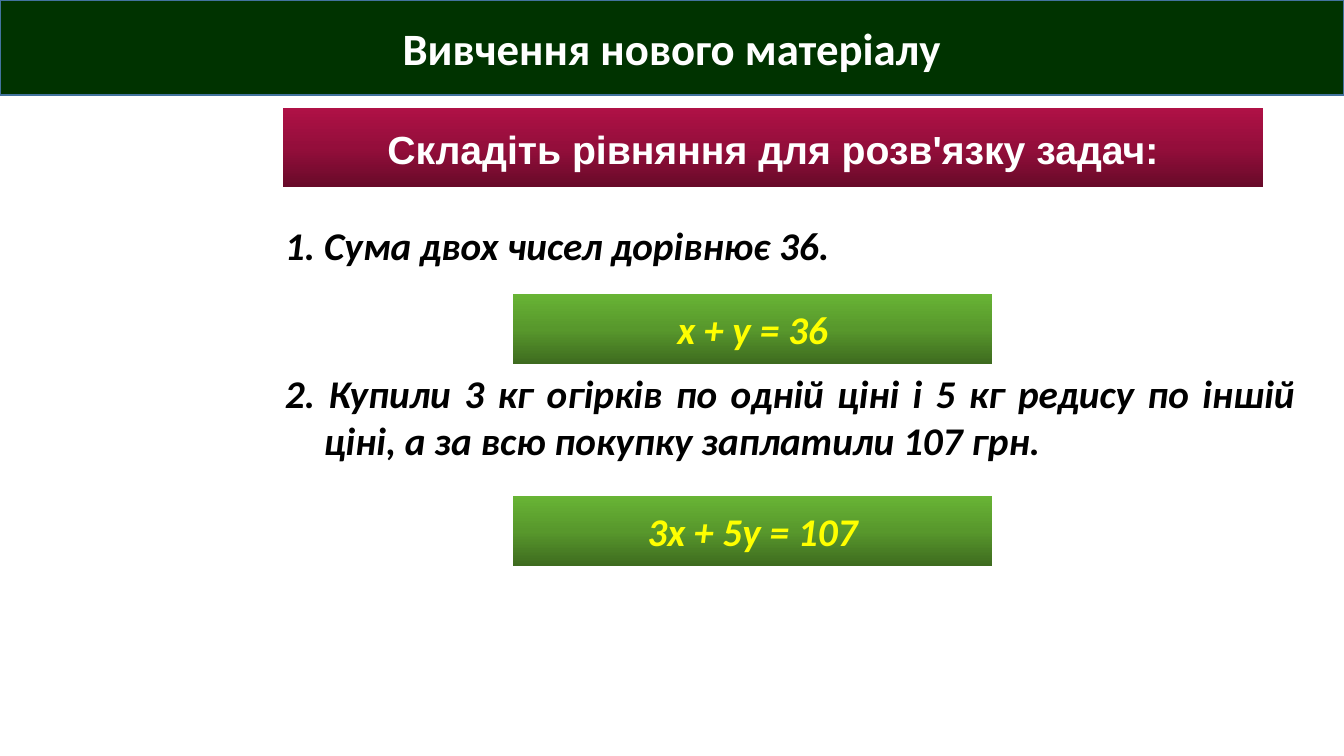
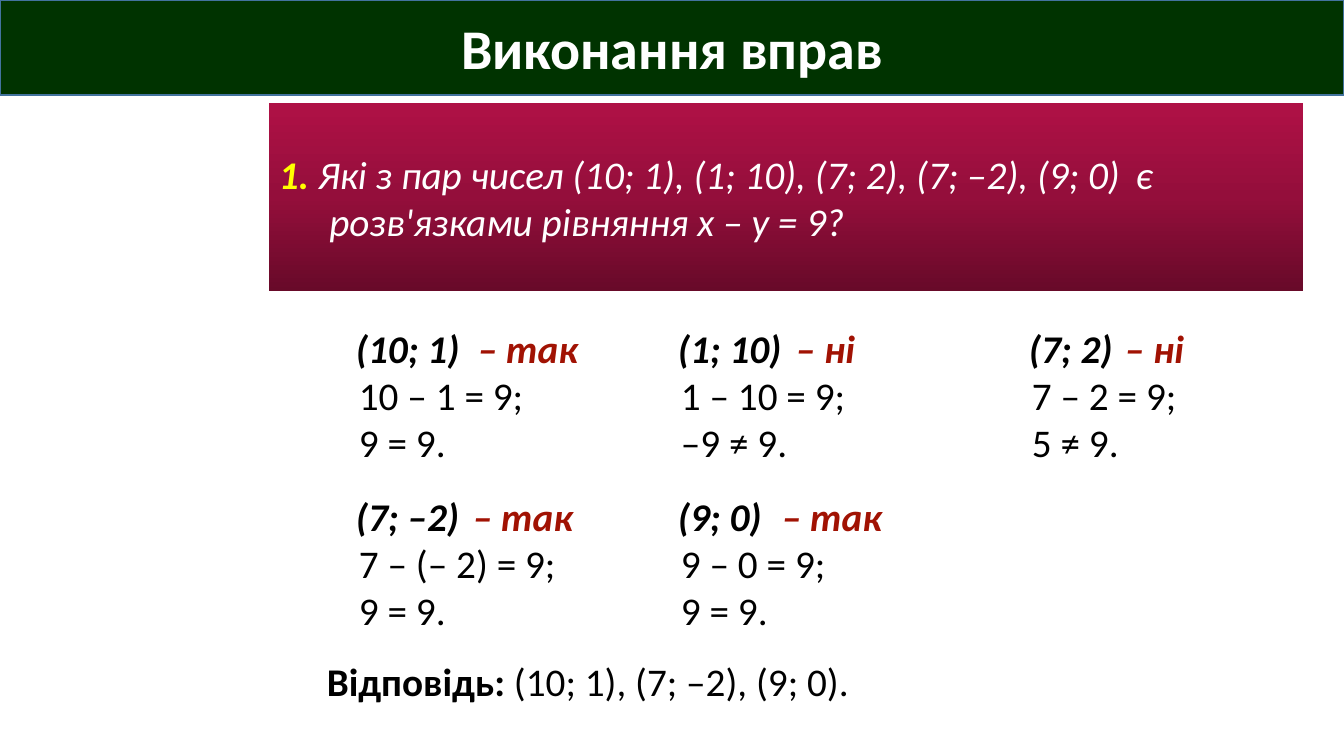
from lxml import etree
from pptx import Presentation
from pptx.dml.color import RGBColor
from pptx.enum.shapes import MSO_SHAPE
from pptx.enum.text import MSO_ANCHOR, MSO_AUTO_SIZE, PP_ALIGN
from pptx.oxml.ns import qn
from pptx.util import Pt

LEFT, CENTER, JUSTIFY = PP_ALIGN.LEFT, PP_ALIGN.CENTER, PP_ALIGN.JUSTIFY
MIDDLE, TOP = MSO_ANCHOR.MIDDLE, MSO_ANCHOR.TOP
RECTANGLE, NO_FIT = MSO_SHAPE.RECTANGLE, MSO_AUTO_SIZE.NONE

# Shared look
PX = 914400 / 100.8
SLIDE_W, SLIDE_H = 1344, 756
TITLE_H = 95
TITLE_ONLY = 5
TITLE_FILL, TITLE_LINE = "003300", "43739E"
WHITE, BLACK, YELLOW, RED = "FFFFFF", "000000", "FFFF00", "A11203"
CRIMSON = ("680A29", "940E3B", "AF1146")
GREEN = ("3E6B1F", "58982C", "68B435")
BODY_SIZE = 28

# Content of slide 1
TASK_TITLE = "Вивчення нового матеріалу"
TASK_BANNER = "Складіть рівняння для розв'язку задач:"
TASKS = [  # text, its box, alignment, hanging indent
    ("1. Сума двох чисел дорівнює 36.", (275, 216, 572, 57), LEFT, 0),
    ("2. Купили 3 кг огірків по одній ціні і 5 кг редису по іншій ціні, "
     "а за всю покупку заплатили 107 грн.", (275, 364, 1030, 105), JUSTIFY, 39),
]
EQUATIONS = [("x + y = 36", 294), ("3x + 5y = 107", 496)]  # text, top

# Content of slide 2
EXERCISE_TITLE = "Виконання вправ"
QUESTION_NUMBER = "1. "
QUESTION_LINES = ("Які з пар чисел (10; 1), (1; 10), (7; 2), (7; –2), (9; 0)\tє",
                  "\tрозв'язками рівняння х – у = 9?")
QUESTION_TABS = (90, 994)
PAIR_LEFTS = (310, 632, 983)
PAIR_TOPS = (319, 487)
PAIRS = [  # pair, working, verdict, verdict offset
    ("(10; 1)", ("10 – 1 = 9;", "9 = 9."), "– так", 158),
    ("(1; 10)", ("1 – 10 = 9;", "–9 ≠ 9."), "– ні", 154),
    ("(7; 2)", ("7 – 2 = 9;", "5 ≠ 9."), "– ні", 132),
    ("(7; –2)", ("7 – (– 2) = 9;", "9 = 9."), "– так", 153),
    ("(9; 0)", ("9 – 0 = 9;", "9 = 9."), "– так", 140),
]
ANSWER = ("Відповідь: ", "(10; 1), (7; –2), (9; 0).")


def px(length):
    return round(length * PX)


def color(value):
    return RGBColor.from_string(value)


def place(shape, area):
    shape.left, shape.top, shape.width, shape.height = map(px, area)


def add_span(para, text, ink=BLACK, bold=False, italic=False,
             size=BODY_SIZE, font="Calibri"):
    span = para.add_run()
    span.text = text
    span.font.name, span.font.size = font, Pt(size)
    span.font.bold, span.font.italic = bold, italic
    span.font.color.rgb = color(ink)


def set_paragraph(para, align=LEFT, margin=0, first=0):
    para.alignment = align
    properties = para._p.get_or_add_pPr()
    properties.set("marL", str(px(margin)))
    properties.set("indent", str(px(first)))


def set_tabs(para, stops):
    tab_list = etree.SubElement(para._p.get_or_add_pPr(), qn("a:tabLst"))
    for stop in stops:
        etree.SubElement(tab_list, qn("a:tab"), pos=str(px(stop)), algn="l")


def prepare_text(shape, anchor):
    frame = shape.text_frame
    frame.word_wrap = True
    frame.auto_size = NO_FIT
    frame.vertical_anchor = anchor
    return frame


def add_text(page, area):
    box = page.shapes.add_textbox(*map(px, area))
    return prepare_text(box, TOP)


def add_panel(page, area, shades):
    """Rectangle shaded from the first colour at the bottom to the last on top."""
    panel = page.shapes.add_shape(RECTANGLE, *map(px, area))
    panel.shadow.inherit = False
    panel.line.fill.background()
    panel.fill.gradient()
    panel.fill.gradient_angle = 90
    stops = panel._element.spPr.find(".//" + qn("a:gsLst"))
    for stop in list(stops):
        stops.remove(stop)
    for index, shade in enumerate(shades):
        position = index * 100000 // (len(shades) - 1)
        stop = etree.SubElement(stops, qn("a:gs"), pos=str(position))
        etree.SubElement(stop, qn("a:srgbClr"), val=shade)
    return prepare_text(panel, MIDDLE)


def add_page(deck, heading, size):
    page = deck.slides.add_slide(deck.slide_layouts[TITLE_ONLY])
    title = page.shapes.title
    place(title, (0, 0, SLIDE_W, TITLE_H))
    title.fill.solid()
    title.fill.fore_color.rgb = color(TITLE_FILL)
    title.line.color.rgb = color(TITLE_LINE)
    title.line.width = Pt(1)
    para = prepare_text(title, MIDDLE).paragraphs[0]
    set_paragraph(para, CENTER)
    add_span(para, heading, WHITE, bold=True, size=size)
    return page


def build_tasks(deck):
    page = add_page(deck, TASK_TITLE, 32)
    banner = add_panel(page, (283, 108, 980, 79), CRIMSON).paragraphs[0]
    set_paragraph(banner, CENTER)
    banner.line_spacing = 1.07
    add_span(banner, TASK_BANNER, WHITE, bold=True, font="Arial")

    for text, area, align, hang in TASKS:
        para = add_text(page, area).paragraphs[0]
        set_paragraph(para, align, hang, -hang)
        add_span(para, text, bold=True, italic=True)

    for text, top in EQUATIONS:
        para = add_panel(page, (513, top, 479, 70), GREEN).paragraphs[0]
        set_paragraph(para, CENTER)
        add_span(para, text, YELLOW, bold=True, italic=True)


def build_exercise(deck):
    page = add_page(deck, EXERCISE_TITLE, 40)

    # Question, with tabs for the hanging words
    question = add_panel(page, (269, 103, 1034, 188), CRIMSON).paragraphs[0]
    set_paragraph(question)
    set_tabs(question, QUESTION_TABS)
    add_span(question, QUESTION_NUMBER, YELLOW, bold=True, italic=True)
    first_line, second_line = QUESTION_LINES
    add_span(question, first_line, WHITE, italic=True)
    question.add_line_break()
    add_span(question, second_line, WHITE, italic=True)

    # Checked pairs, three to a row
    for index, (pair, working, verdict, offset) in enumerate(PAIRS):
        row, column = divmod(index, len(PAIR_LEFTS))
        left, top = PAIR_LEFTS[column], PAIR_TOPS[row]
        frame = add_text(page, (left, top, 283, 152))
        para = frame.paragraphs[0]
        set_paragraph(para, margin=36)
        add_span(para, pair, bold=True, italic=True)
        for step in working:
            para = frame.add_paragraph()
            set_paragraph(para, margin=39)
            add_span(para, step)
        mark = add_text(page, (left + offset, top, 130, 57)).paragraphs[0]
        add_span(mark, verdict, RED, bold=True, italic=True)

    # Answer
    para = add_text(page, (269, 652, 610, 57)).paragraphs[0]
    set_paragraph(para, first=48)
    label, solutions = ANSWER
    add_span(para, label, bold=True)
    add_span(para, solutions)


def main():
    deck = Presentation()
    deck.slide_width, deck.slide_height = px(SLIDE_W), px(SLIDE_H)
    build_tasks(deck)
    build_exercise(deck)
    deck.save("out.pptx")


if __name__ == "__main__":
    main()
